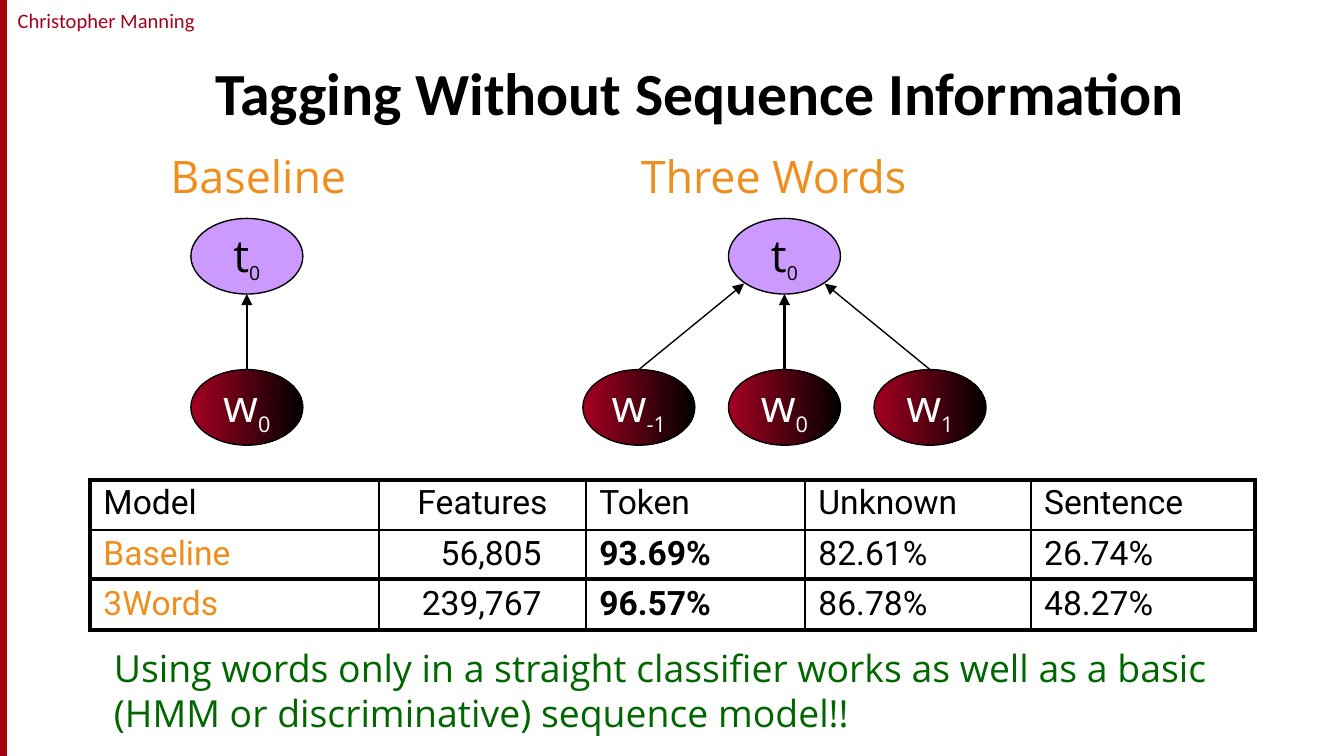
from pptx import Presentation, util as u
from pptx.dml.color import RGBColor
from pptx.enum import shapes, text
from pptx.oxml import parse_xml
from pptx.oxml.ns import nsdecls, qn
from lxml import etree

BLACK, WHITE = RGBColor(0, 0, 0), RGBColor(255, 255, 255)
RED, WINE = RGBColor(0xA4, 0, 0x1D), RGBColor(0xA5, 0, 0x21)
BAR, LILAC = RGBColor(0xA4, 5, 8), RGBColor(0xCC, 0x99, 0xFF)
ORANGE, GREEN = RGBColor(0xEF, 0x8E, 0x1C), RGBColor(0, 0x66, 0)
LEFT, MID, RIGHT = text.PP_ALIGN.LEFT, text.PP_ALIGN.CENTER, text.PP_ALIGN.RIGHT

WIDE, HIGH = 10, 10 * 9 / 16
TITLE = "Tagging Without Sequence Information"
LABELS = [
    ("Christopher Manning", (0.08, 0.01, 1.42, 0.29), MID, 0,
     dict(size=11, name="Calibri", rgb=RED)),
    ("Baseline", (1.17, 1.06, 2.42, 0.5), LEFT, 0.1,
     dict(size=24, name="Open Sans", rgb=ORANGE)),
    ("Three Words", (4.67, 1.06, 2.42, 0.5), LEFT, 0.1,
     dict(size=24, name="Open Sans", rgb=ORANGE)),
    ("Using words only in a straight classifier works as well as a basic "
     "(HMM or discriminative) sequence model!!", (0.75, 4.75, 8.5, 0.77), LEFT, 0.1,
     dict(size=20, name="Open Sans", rgb=GREEN)),
]
GRAPHS = [
    (1.42, [("0", 0)]),
    (5.42, [("-1", -1), ("0", 0), ("1", 1)]),
]
NODE_W, NODE_H, STEP = 5 / 6, 9 / 16, 13 / 12
WORD_Y = 2.75
TAG_Y = WORD_Y - 2 * NODE_H
ROWS = [
    ("Model", "Features", "Token", "Unknown", "Sentence"),
    ("Baseline", "56,805", "93.69%", "82.61%", "26.74%"),
    ("3Words", "239,767", "96.57%", "86.78%", "48.27%"),
]
COLS = [2.15, 1.54, 1.63, 1.68, 1.67]
ROW_H = 1.12 / 3

deck = Presentation()
deck.slide_width, deck.slide_height = u.Inches(WIDE), u.Inches(HIGH)
slide = deck.slides.add_slide(deck.slide_layouts[5])


def place(*vals):
    return [u.Inches(v) for v in vals]


def write(para, words, size, rgb, base=0, **fmt):
    run = para.add_run()
    run.text = words
    run.font.size = u.Pt(size)
    run.font.color.rgb = rgb
    for key, val in fmt.items():
        setattr(run.font, key, val)
    if base:
        run._r.get_or_add_rPr().set("baseline", str(base))


def node(x, y, word, sub, size, rgb, fill=None):
    oval = slide.shapes.add_shape(shapes.MSO_SHAPE.OVAL, *place(x, y, NODE_W, NODE_H))
    oval.shadow.inherit = False
    if fill:
        oval.fill.solid()
        oval.fill.fore_color.rgb = fill
    else:
        oval.fill.gradient()
        oval.fill.gradient_angle = 0
        for stop, tone in zip(oval.fill.gradient_stops, (WINE, BLACK)):
            stop.color.rgb = tone
    oval.line.color.rgb, oval.line.width = BLACK, u.Pt(0.75)
    frame = oval.text_frame
    frame.word_wrap = False
    frame.vertical_anchor = text.MSO_ANCHOR.MIDDLE
    para = frame.paragraphs[0]
    para.alignment = MID
    write(para, word, 24, rgb, name="Open Sans")
    write(para, sub, size, rgb, -25000, name="Open Sans")


def line(start, end, width, head=False):
    link = slide.shapes.add_connector(shapes.MSO_CONNECTOR.STRAIGHT, *place(*start, *end))
    link.line.color.rgb, link.line.width = BLACK, u.Pt(width)
    if head:
        etree.SubElement(link.line._get_or_add_ln(), qn("a:tailEnd"), type="triangle")
    etree.SubElement(link._element.spPr, qn("a:effectLst"))


def border(cell, widths):
    props = cell._tc.get_or_add_tcPr()
    for spot, (side, width) in enumerate(widths.items()):
        props.insert(spot, parse_xml(
            f'<a:ln{side} {nsdecls("a")} w="{int(u.Pt(width))}"><a:solidFill>'
            f'<a:srgbClr val="{BLACK}"/></a:solidFill></a:ln{side}>'))


bar = slide.shapes.add_shape(shapes.MSO_SHAPE.RECTANGLE, *place(0, 0, 0.05, HIGH))
bar.shadow.inherit = False
bar.fill.solid()
bar.fill.fore_color.rgb = BAR
bar.line.color.rgb, bar.line.width = RED, u.Pt(0.75)

title = slide.shapes.title
title.left, title.top, title.width, title.height = place(1.5, 0.19, 8.08, 0.81)
title.text_frame.vertical_anchor = text.MSO_ANCHOR.BOTTOM
title.text_frame.paragraphs[0].alignment = LEFT
write(title.text_frame.paragraphs[0], TITLE, 32, BLACK, name="Calibri", bold=True)

for words, box, align, pad, fmt in LABELS:
    frame = slide.shapes.add_textbox(*place(*box)).text_frame
    frame.word_wrap = True
    frame.margin_left = frame.margin_right = u.Inches(pad)
    frame.paragraphs[0].alignment = align
    write(frame.paragraphs[0], words, **fmt)

for x, words in GRAPHS:
    node(x, TAG_Y, "t", "0", 18, BLACK, LILAC)
    mid = x + NODE_W / 2
    for sub, side in words:
        node(x + side * STEP, WORD_Y, "w", sub, 20, WHITE)
        tip = (mid + side * 0.3, 2.11 if side else TAG_Y + NODE_H)
        line((mid + side * STEP, WORD_Y), tip, 0.75 if side else 1.25, True)

table = slide.shapes.add_table(len(ROWS), len(COLS), *place(0.67, 3.57, 8.67, 1.12)).table
table.first_row = table.horz_banding = False
for col, width in zip(table.columns, COLS):
    col.width = u.Inches(width)
for r, row in enumerate(ROWS):
    table.rows[r].height = u.Inches(ROW_H)
    for c, words in enumerate(row):
        cell = table.cell(r, c)
        cell.fill.background()
        cell.margin_top = cell.margin_bottom = u.Inches(0.03)
        para = cell.text_frame.paragraphs[0]
        if c == 1:
            para.alignment = RIGHT if r else MID
            cell.margin_right = u.Inches(0.33 if r else 0.1)
        write(para, words, 18, ORANGE if r and c == 0 else BLACK,
              name="Roboto", bold=r > 0 and c == 2)
        edges = dict(L=c == 0, R=c == len(COLS) - 1, T=r == 0, B=r == len(ROWS) - 1)
        border(cell, {side: 2.25 if outer else 1 for side, outer in edges.items()})

line((0.67, 4.31), (9.33, 4.31), 2.25)
deck.save("out.pptx")
